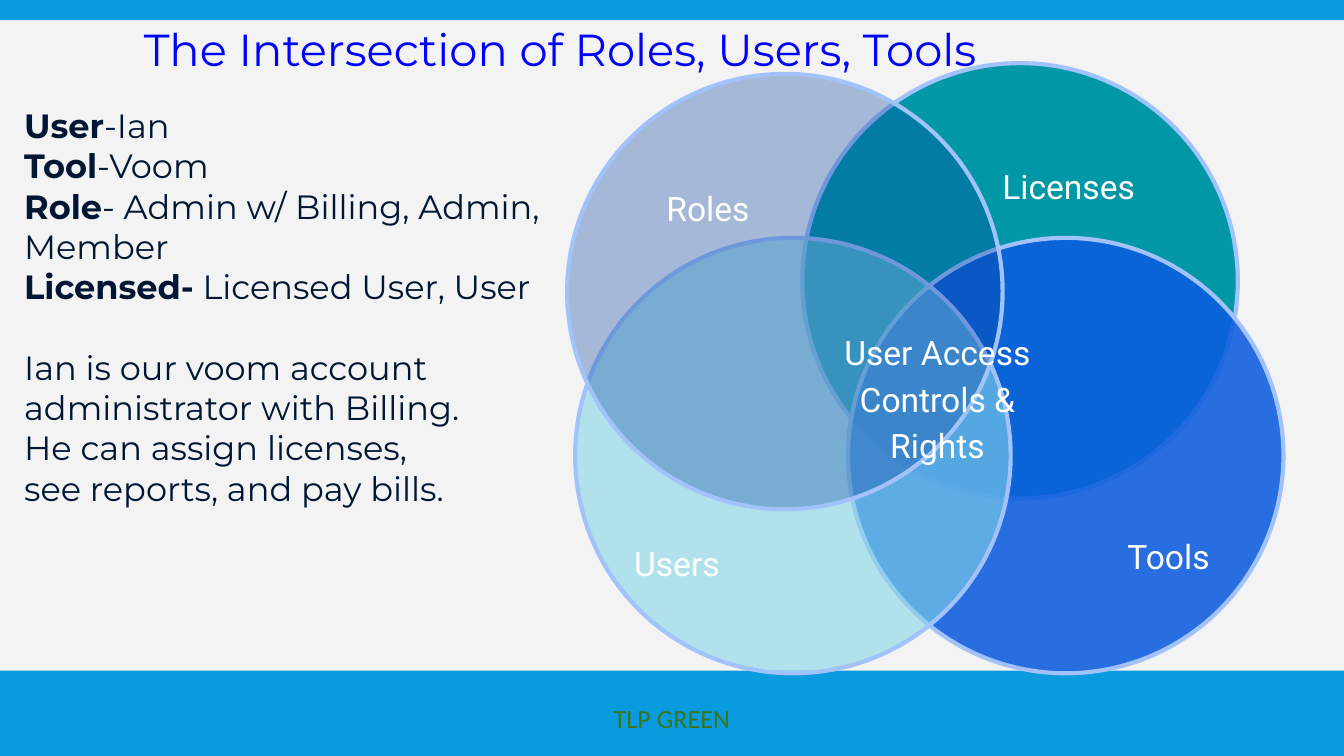
from lxml.etree import SubElement
from pptx import Presentation
from pptx.dml.color import RGBColor as RGB
from pptx.enum.shapes import MSO_SHAPE as Form
from pptx.enum.text import MSO_ANCHOR as Anchor, MSO_AUTO_SIZE as Fit, PP_ALIGN as Align
from pptx.oxml.ns import qn
from pptx.util import Inches, Pt

PAPER = RGB(0xF3, 0xF3, 0xF3)
SKY = RGB(0x09, 0x9B, 0xDD)
GREEN = RGB(0x38, 0x76, 0x1D)
BLUE = RGB(0x00, 0x00, 0xFF)
NAVY = RGB(0x00, 0x16, 0x33)
WHITE = RGB(0xFF, 0xFF, 0xFF)
RIM = RGB(0xA1, 0xC2, 0xFA)
TEAL = RGB(0x00, 0x97, 0xA7)
COBALT = RGB(0x0D, 0x5C, 0xDF)
AQUA = RGB(0x85, 0xD5, 0xE6)
INDIGO = RGB(0x09, 0x42, 0xA1)

SIZE = 3.24  # diameter of every circle


class Deck:
    """Holds the style and the current slide."""

    def __init__(self, slide):
        self.slide = slide
        self.shapes = slide.shapes

    def frame(self, shape, anchor, pads):
        frame = shape.text_frame
        frame.word_wrap = True
        frame.auto_size = Fit.NONE
        frame.vertical_anchor = anchor
        (frame.margin_left, frame.margin_top,
         frame.margin_right, frame.margin_bottom) = map(Inches, pads)
        return frame

    def style(self, para, face, size, color, align=Align.LEFT):
        para.alignment = align
        for run in para.runs:
            run.font.name = face
            run.font.size = Pt(size)
            run.font.color.rgb = color

    def bar(self, top, height, text=""):
        bar = self.shapes.add_shape(Form.RECTANGLE, 0, Inches(top), Inches(10), Inches(height))
        bar.shadow.inherit = False
        bar.fill.solid()
        bar.fill.fore_color.rgb = SKY
        bar.line.fill.background()
        if text:
            frame = self.frame(bar, Anchor.MIDDLE, (0.1, 0.05, 0.1, 0.05))
            frame.text = text
            self.style(frame.paragraphs[0], "Calibri", 14, GREEN, Align.CENTER)

    def title(self, text, box):
        title = self.shapes.title
        title.left, title.top, title.width, title.height = map(Inches, box)
        frame = self.frame(title, Anchor.TOP, (0.1,) * 4)
        frame.text = text
        self.style(frame.paragraphs[0], "Montserrat", 24, BLUE)

    def body(self, paras, box):
        frame = self.frame(self.shapes.add_textbox(*map(Inches, box)), Anchor.TOP, (0, 0, 0.1, 0.1))
        for i, (term, text, gap) in enumerate(paras):
            para = frame.paragraphs[0] if i == 0 else frame.add_paragraph()
            para.text = term or text
            if term:
                para.runs[0].font.bold = True
                para.add_run().text = text
            if gap:
                para.space_before = Pt(gap)
            self.style(para, "Montserrat", 18, NAVY)

    def label(self, shapes, text, box, align=Align.LEFT):
        frame = self.frame(shapes.add_textbox(*map(Inches, box)), Anchor.MIDDLE, (0.1,) * 4)
        frame.text = text
        para = frame.paragraphs[0]
        para.line_spacing = 1.15
        self.style(para, "Roboto", 18, WHITE, align)

    def circle(self, left, top, color, alpha, text, box):
        shapes = self.shapes.add_group_shape().shapes
        disc = shapes.add_shape(Form.OVAL, *map(Inches, (left, top, SIZE, SIZE)))
        disc.shadow.inherit = False
        disc.fill.solid()
        disc.fill.fore_color.rgb = color
        disc.line.color.rgb = RIM
        disc.line.width = Pt(2.25)
        if alpha < 100:
            tint = disc._element.spPr.find(qn("a:solidFill"))[0]
            SubElement(tint, qn("a:alpha"), val=str(alpha * 1000))
        self.label(shapes, text, box)


def main():
    show = Presentation()
    show.slide_width = Inches(10)
    show.slide_height = Inches(10 * 9 / 16)
    slide = show.slides.add_slide(show.slide_layouts[5])
    slide.background.fill.solid()
    slide.background.fill.fore_color.rgb = PAPER
    deck = Deck(slide)

    # Bars and heading
    deck.bar(4.99, 0.71, "TLP GREEN")
    deck.bar(0, 0.15)
    deck.title("The Intersection of Roles, Users, Tools", (0.97, 0.06, 8.73, 1.03))

    # Example: term, text, space before
    deck.body([
        ("User", "-Ian", 0),
        ("Tool", "-Voom", 0),
        ("Role", "- Admin w/ Billing, Admin, Member", 0),
        ("Licensed-", " Licensed User, User", 0),
        ("", "Ian is our voom account administrator with Billing.\v"
             "He can assign licenses, \vsee reports, and pay bills.", 21.6),
    ], (0.18, 0.78, 4.69, 4.21))

    # Overlapping circles, back to front
    deck.circle(5.97, 0.47, TEAL, 100, "Licenses", (7.36, 0.91, 2.26, 0.91))
    deck.circle(6.31, 1.77, COBALT, 88, "Tools", (8.29, 3.66, 1.88, 0.91))
    deck.circle(4.28, 1.77, AQUA, 60, "Users", (4.62, 3.71, 1.88, 0.91))
    deck.circle(4.22, 0.55, INDIGO, 33, "Roles", (4.86, 1.07, 2.26, 0.91))

    # Shared centre
    deck.label(deck.shapes, "User Access Controls & Rights", (6.03, 2.14, 1.89, 1.61), Align.CENTER)

    show.save("out.pptx")


if __name__ == "__main__":
    main()
